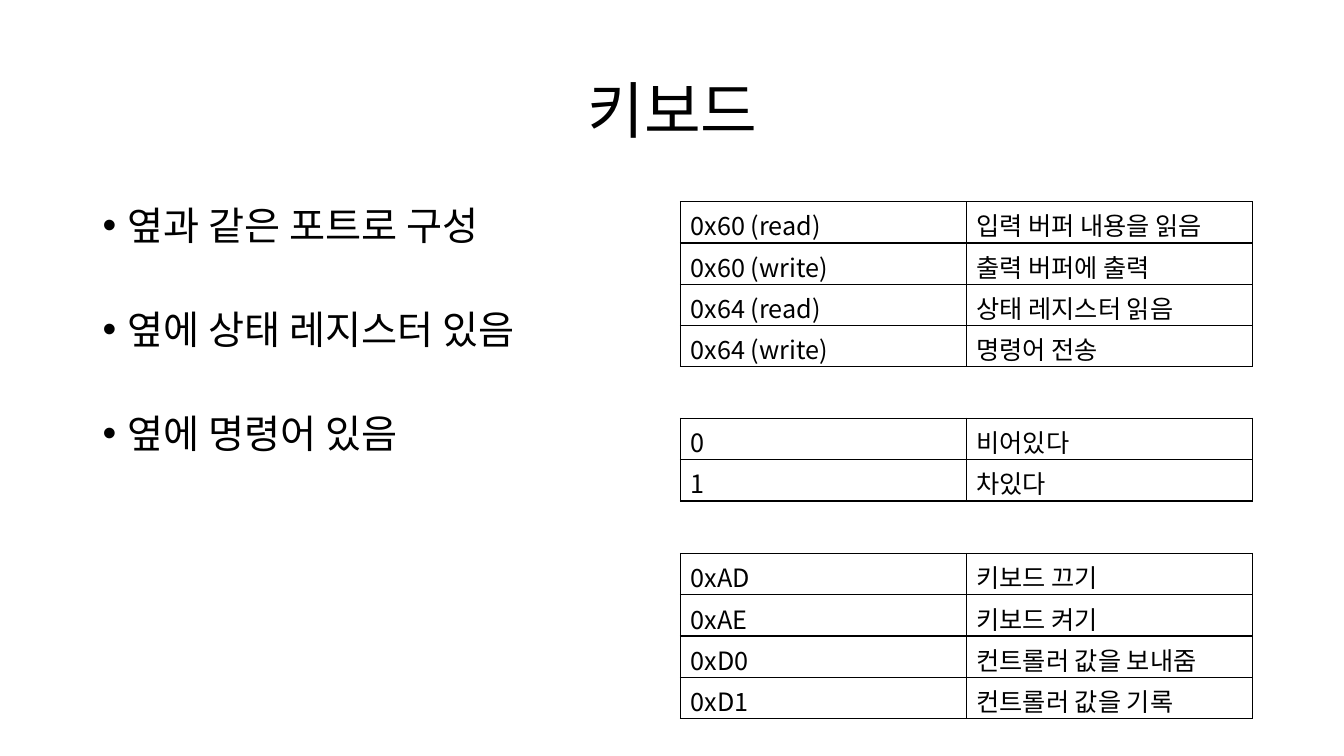
import pptx
import pptx.dml.color
import pptx.enum.text
import pptx.oxml
import pptx.oxml.ns
import pptx.util
from pptx.util import Inches

FONT = "Noto Sans CJK KR"
COLORS = {"text": "000000", "border": "000000"}
TITLE = "키보드"
BULLETS = ["옆과 같은 포트로 구성", "옆에 상태 레지스터 있음", "옆에 명령어 있음"]
PORTS = [
    ("0x60 (read)", "입력 버퍼 내용을 읽음"),
    ("0x60 (write)", "출력 버퍼에 출력"),
    ("0x64 (read)", "상태 레지스터 읽음"),
    ("0x64 (write)", "명령어 전송"),
]
STATUS = [("0", "비어있다"), ("1", "차있다")]
COMMANDS = [
    ("0xAD", "키보드 끄기"),
    ("0xAE", "키보드 켜기"),
    ("0xD0", "컨트롤러 값을 보내줌"),
    ("0xD1", "컨트롤러 값을 기록"),
]
TABLE_LEFT, TABLE_WIDTH, ROW_HEIGHT = 6.75, 5.67, 0.41


def set_attributes(target, values):
    for name, value in values.items():
        setattr(target, name, value)


def add_xml(parent, tag, content="", **attributes):
    """Append one DrawingML element to parent."""
    listed = " ".join(f'{name}="{value}"' for name, value in attributes.items())
    namespace = pptx.oxml.ns.nsdecls("a")
    parent.append(pptx.oxml.parse_xml(
        f"<a:{tag} {namespace} {listed}>{content}</a:{tag}>"))


def write_text(paragraph, text, size):
    run = paragraph.add_run()
    run.text = text
    set_attributes(run.font, {"name": FONT, "size": pptx.util.Pt(size), "bold": False})
    run.font.color.rgb = pptx.dml.color.RGBColor.from_string(COLORS["text"])
    add_xml(run.font._element, "ea", typeface=FONT)


def add_title(slide):
    title = slide.shapes.title
    set_attributes(title, {"left": Inches(0.92), "top": Inches(0.4),
                           "width": Inches(11.5), "height": Inches(1.45)})
    title.text_frame.vertical_anchor = pptx.enum.text.MSO_ANCHOR.MIDDLE
    paragraph = title.text_frame.paragraphs[0]
    set_attributes(paragraph, {"alignment": pptx.enum.text.PP_ALIGN.CENTER,
                               "line_spacing": 0.9})
    write_text(paragraph, TITLE, 44)


def add_bullets(slide):
    box = slide.shapes.add_textbox(Inches(0.92), Inches(2), Inches(5.67), Inches(4.76))
    frame = box.text_frame
    frame.word_wrap = True
    for index, text in enumerate(BULLETS):
        paragraph = frame.add_paragraph() if index else frame.paragraphs[0]
        set_attributes(paragraph, {"line_spacing": 0.9,
                                   "space_before": pptx.util.Pt(44 if index else 0)})
        properties = paragraph._p.get_or_add_pPr()
        properties.set("marL", str(Inches(0.25)))
        properties.set("indent", str(Inches(-0.25)))
        add_xml(properties, "buFont", typeface="Arial")
        add_xml(properties, "buChar", char="•")
        write_text(paragraph, text, 28)


def format_cell(cell, text):
    write_text(cell.text_frame.paragraphs[0], text, 18)
    properties = cell._tc.get_or_add_tcPr()
    line_fill = f'<a:solidFill><a:srgbClr val="{COLORS["border"]}"/></a:solidFill>'
    for side in ("lnL", "lnR", "lnT", "lnB"):
        add_xml(properties, side, line_fill, w=pptx.util.Pt(1))
    cell.fill.background()


def add_grid(slide, top, rows):
    frame = slide.shapes.add_table(
        len(rows), 2, Inches(TABLE_LEFT), Inches(top),
        Inches(TABLE_WIDTH), Inches(ROW_HEIGHT * len(rows)))
    table = frame.table
    set_attributes(table, {"first_row": False, "horz_banding": False})
    for row_index, row in enumerate(rows):
        for column_index, text in enumerate(row):
            format_cell(table.cell(row_index, column_index), text)


def main():
    presentation = pptx.Presentation()
    set_attributes(presentation, {"slide_width": Inches(13.33),
                                  "slide_height": Inches(7.5)})
    slide = presentation.slides.add_slide(presentation.slide_layouts[5])

    # Title and bullets on the left
    add_title(slide)
    add_bullets(slide)

    # Port, status and command tables on the right
    for top, rows in ((2, PORTS), (4.15, STATUS), (5.49, COMMANDS)):
        add_grid(slide, top, rows)

    presentation.save("out.pptx")


if __name__ == "__main__":
    main()
